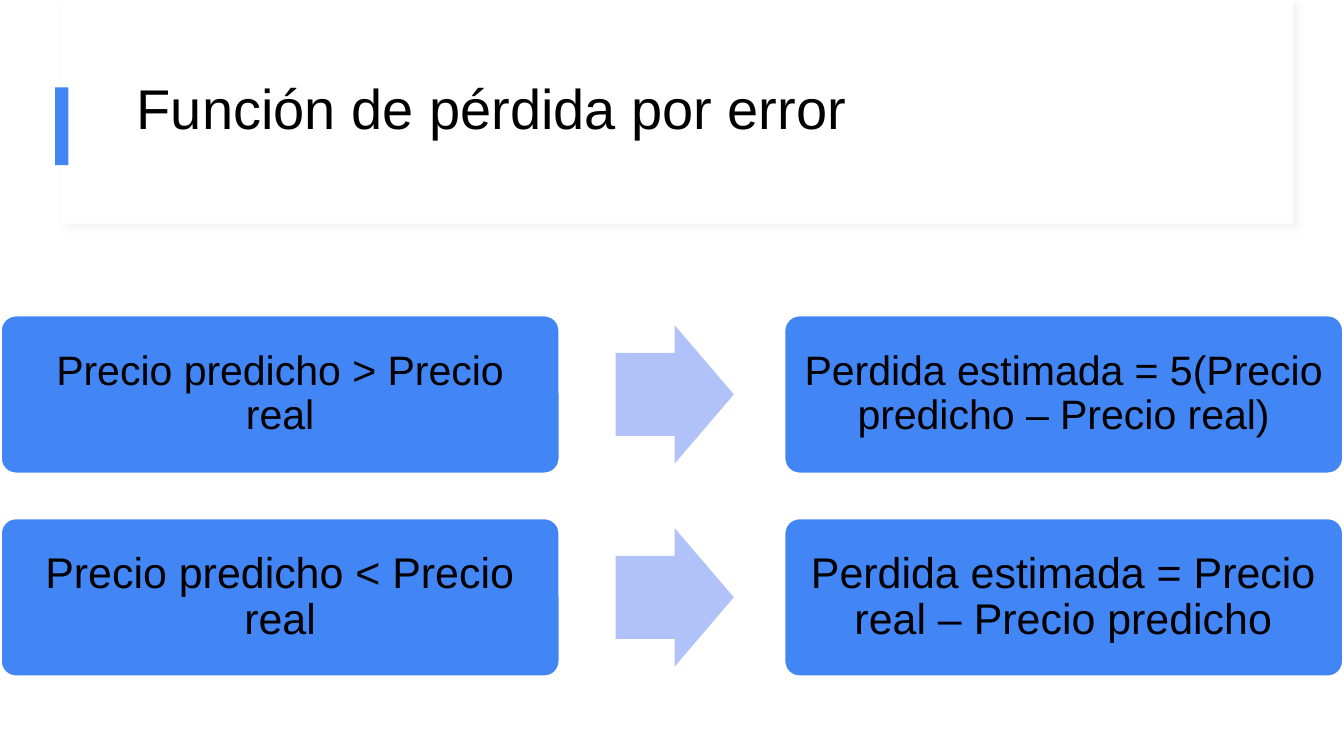
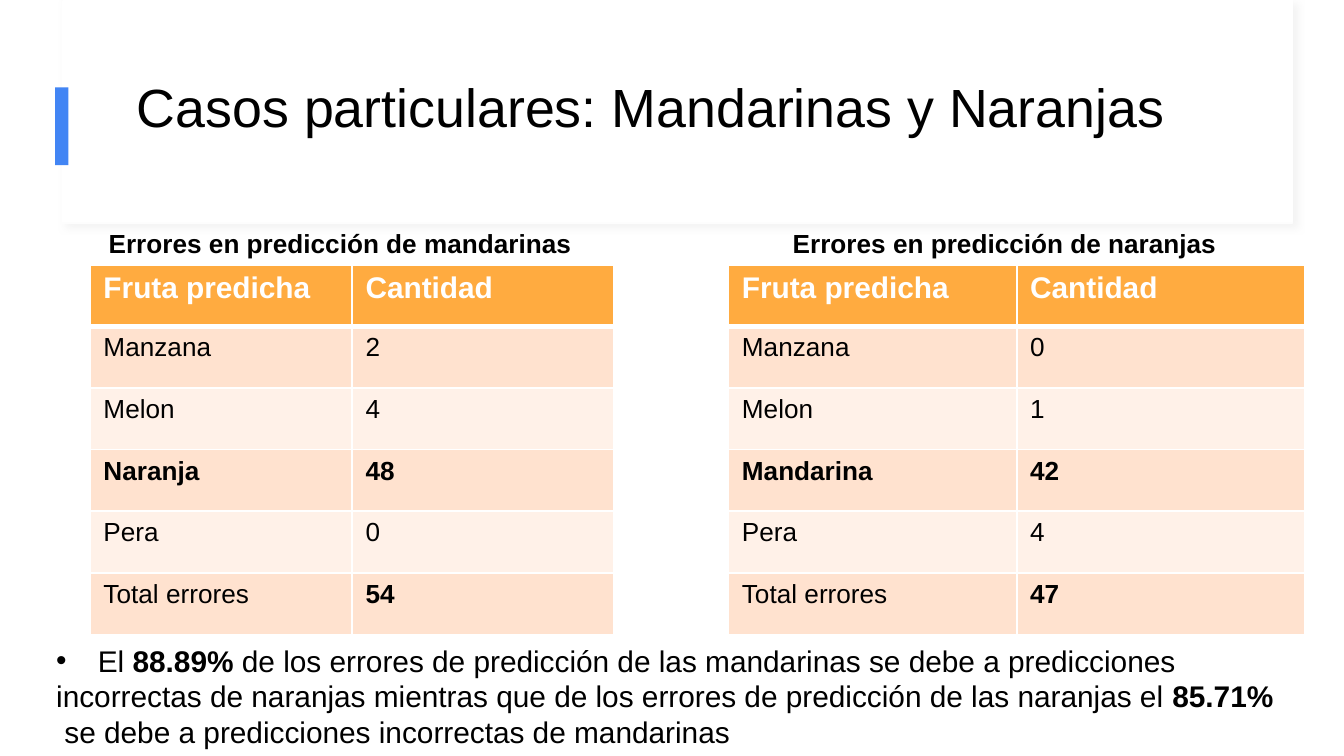
from typing import NamedTuple

from lxml.etree import SubElement
from pptx import Presentation
from pptx.dml.color import RGBColor
from pptx.enum.shapes import MSO_SHAPE
from pptx.enum.text import MSO_ANCHOR, PP_ALIGN
from pptx.oxml.ns import qn
from pptx.util import Inches, Pt

BLACK = RGBColor(0x00, 0x00, 0x00)
WHITE = RGBColor(0xFF, 0xFF, 0xFF)
PANEL_EDGE = RGBColor(0xFD, 0xFD, 0xFD)
PANEL_SHADOW = RGBColor(0xD9, 0xD9, 0xD9)
BLUE = RGBColor(0x42, 0x85, 0xF4)
PALE_BLUE = RGBColor(0xB0, 0xC2, 0xF8)
ORANGE = RGBColor(0xFF, 0xAB, 0x40)
PEACH = RGBColor(0xFF, 0xE2, 0xCF)
PALE_PEACH = RGBColor(0xFF, 0xF1, 0xE8)

FONT = "Arial"
COLS, ROWS = 100, 56.25
CELL = Inches(0.1)


class Box(NamedTuple):
    x: float
    y: float
    w: float
    h: float

    def inner(self, x, y, w, h):
        return Box(self.x + x, self.y + y, w, h)

    def emu(self):
        return [round(v * CELL) for v in self]


PAGE = Box(0, 0, COLS, ROWS)


def add_runs(p, runs, size, color=BLACK):
    for text, bold in runs:
        r = p.add_run()
        r.text = text
        r.font.name = FONT
        r.font.size = Pt(size)
        r.font.bold = bold
        r.font.color.rgb = color


def add_box(slide, box, shape, fill, line=None, width=0):
    sp = slide.shapes.add_shape(shape, *box.emu())
    sp.shadow.inherit = False
    sp.fill.solid()
    sp.fill.fore_color.rgb = fill
    if line is None:
        sp.line.fill.background()
    else:
        sp.line.color.rgb = line
        sp.line.width = Pt(width)
    return sp


def add_text(slide, box, paragraphs, size, inset=0.1):
    tf = slide.shapes.add_textbox(*box.emu()).text_frame
    tf.word_wrap = True
    tf.margin_left = tf.margin_right = Inches(0.1)
    tf.margin_top = tf.margin_bottom = Inches(inset)
    for i, runs in enumerate(paragraphs):
        p = tf.add_paragraph() if i else tf.paragraphs[0]
        add_runs(p, runs, size)
    return tf


def add_soft_shadow(sp):
    effects = sp._element.spPr.find(qn("a:effectLst"))
    shadow = SubElement(effects, qn("a:outerShdw"), blurRad=str(Pt(4)),
                        dist=str(Pt(3)), dir=str(45 * 60000))
    color = SubElement(shadow, qn("a:srgbClr"), val=str(PANEL_SHADOW))
    SubElement(color, qn("a:alpha"), val="30000")


def add_header(slide, box, title, size):
    panel = add_box(slide, box.inner(4.6, 0, 91.6, 16.6), MSO_SHAPE.RECTANGLE,
                    WHITE, PANEL_EDGE, 0.75)
    add_soft_shadow(panel)
    add_box(slide, box.inner(4.7, 0, 91.5, 16.5), MSO_SHAPE.RECTANGLE, WHITE)
    add_box(slide, box.inner(4.1, 6.5, 1, 5.8), MSO_SHAPE.RECTANGLE, BLUE)
    add_text(slide, box.inner(9.2, 4.5, 83.4, 9.7), [[(title, False)]], size)


def add_card(slide, box, text, size):
    sp = add_box(slide, box, MSO_SHAPE.ROUNDED_RECTANGLE, BLUE, WHITE, 2)
    sp.adjustments[0] = 0.1
    tf = sp.text_frame
    tf.word_wrap = True
    tf.vertical_anchor = MSO_ANCHOR.MIDDLE
    tf.margin_left = tf.margin_right = Inches(0.09)
    tf.margin_top = tf.margin_bottom = Inches(0.09)
    p = tf.paragraphs[0]
    p.alignment = PP_ALIGN.CENTER
    p.line_spacing = 0.9
    add_runs(p, [(text, False)], size)


def add_rule(slide, box, condition, loss, size):
    card_w, arrow_h = 41.7, 10.3
    add_card(slide, box.inner(0, 0, card_w, box.h), condition, size)
    arrow = add_box(slide, box.inner(45.8, (box.h - arrow_h) / 2, 8.8, arrow_h),
                    MSO_SHAPE.RIGHT_ARROW, PALE_BLUE)
    arrow.adjustments[0] = 0.6
    arrow.adjustments[1] = 0.5
    add_card(slide, box.inner(box.w - card_w, 0, card_w, box.h), loss, size)


def set_borders(cell, top, bottom):
    tcPr = cell._tc.get_or_add_tcPr()
    for side, width in (("L", 1), ("R", 1), ("T", top), ("B", bottom)):
        ln = SubElement(tcPr, qn(f"a:ln{side}"), w=str(Pt(width)))
        fill = SubElement(ln, qn("a:solidFill"))
        SubElement(fill, qn("a:srgbClr"), val=str(WHITE))


def add_error_table(slide, box, counts, main_fruit):
    total = sum(n for _, n in counts)
    rows = [("Fruta predicha", "Cantidad"), *counts, ("Total errores", total)]
    table = slide.shapes.add_table(len(rows), 2, *box.emu()).table
    last = len(rows) - 1
    for i, row in enumerate(rows):
        for j, value in enumerate(row):
            cell = table.cell(i, j)
            set_borders(cell, 3 if i == 1 else 1, 3 if i == 0 else 1)
            cell.fill.solid()
            bold = i == 0 or row[0] == main_fruit or (i == last and j == 1)
            if i == 0:
                fill, size, color = ORANGE, 16, WHITE
            else:
                fill, size, color = (PEACH if i % 2 else PALE_PEACH), 14, BLACK
            cell.fill.fore_color.rgb = fill
            add_runs(cell.text_frame.paragraphs[0], [(str(value), bold)], size, color)


def add_conclusion(slide, box):
    tf = add_text(slide, box, [
        [("El ", False), ("88.89%", True),
         (" de los errores de predicción de las mandarinas se debe a predicciones", False)],
        [("incorrectas de naranjas mientras que de los errores de predicción de las naranjas el ", False),
         ("85.71%", True)],
        [(" se debe a predicciones incorrectas de mandarinas", False)],
    ], 16, 0.05)
    pPr = tf.paragraphs[0]._p.get_or_add_pPr()
    indent = Inches(0.31)
    pPr.set("marL", str(indent))
    pPr.set("indent", str(-indent))
    color = SubElement(pPr, qn("a:buClr"))
    SubElement(color, qn("a:srgbClr"), val=str(BLACK))
    SubElement(pPr, qn("a:buFont"), typeface=FONT)
    SubElement(pPr, qn("a:buChar"), char="•")


def build_loss_slide(slide, box):
    add_header(slide, box, "Función de pérdida por error", 30)
    rules = [
        ("Precio predicho > Precio real",
         "Perdida estimada = 5(Precio predicho – Precio real)", 22),
        ("Precio predicho < Precio real",
         "Perdida estimada = Precio real – Precio predicho", 23),
    ]
    for i, rule in enumerate(rules):
        add_rule(slide, box.inner(0, 23.4 + 15.1 * i, box.w, 11.9), *rule)


def build_cases_slide(slide, box):
    add_header(slide, box, "Casos particulares: Mandarinas y Naranjas", 28.8)
    cases = [
        ("mandarinas", 7.1, 6.7, 39, "Naranja",
         [("Manzana", 2), ("Melon", 4), ("Naranja", 48), ("Pera", 0)]),
        ("naranjas", 58, 54.2, 42.9, "Mandarina",
         [("Manzana", 0), ("Melon", 1), ("Mandarina", 42), ("Pera", 4)]),
    ]
    for fruit, caption_x, table_x, table_w, main_fruit, counts in cases:
        if fruit == "naranjas":
            counts = counts + []
        add_text(slide, box.inner(caption_x, 16.4, 37.3, 3.4),
                 [[(f"Errores en predicción de {fruit}", True)]], 14, 0.05)
        add_error_table(slide, box.inner(table_x, 19.7, table_w, 27.5), counts, main_fruit)
    add_conclusion(slide, box.inner(3.2, 47.3, 93.7, 9.1))


def main():
    prs = Presentation()
    prs.slide_width, prs.slide_height = PAGE.emu()[2:]
    for build in (build_loss_slide, build_cases_slide):
        build(prs.slides.add_slide(prs.slide_layouts[6]), PAGE)
    prs.save("out.pptx")


if __name__ == "__main__":
    main()
